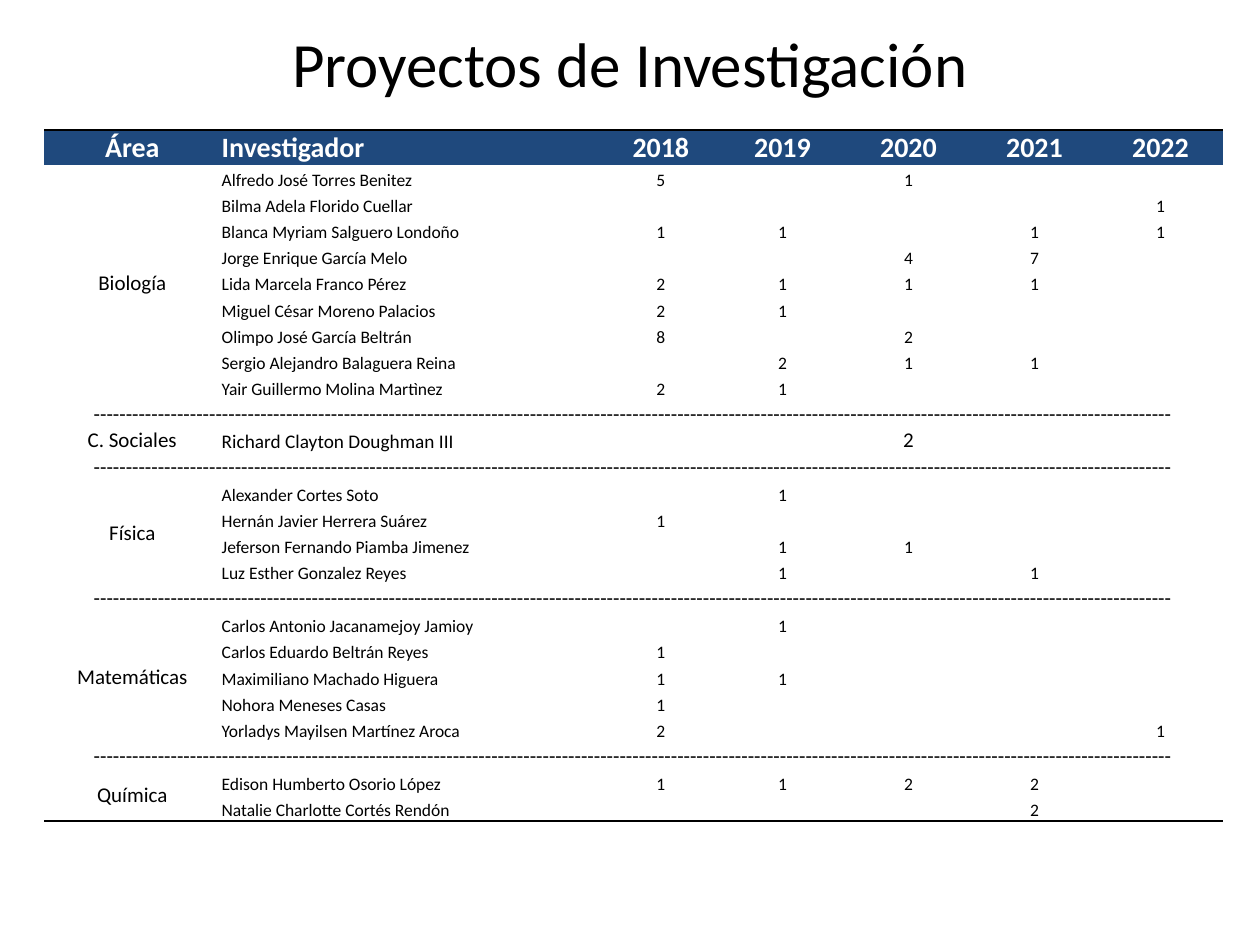
"""Build the slide of research projects by area, researcher and year."""
from dataclasses import dataclass
from typing import Optional

from lxml import etree
from pptx import Presentation
from pptx import util as u
from pptx.dml.color import RGBColor
from pptx.enum import text
from pptx.oxml.ns import qn

COLORS = {"black": "000000", "white": "FFFFFF", "header": "1F497D"}
FONT = "Calibri"
NO_STYLE = "{2D5ABB26-0587-4C30-8999-92F81FD0307C}"
CENTER, LEFT = text.PP_ALIGN.CENTER, text.PP_ALIGN.LEFT
MIDDLE, BOTTOM = text.MSO_ANCHOR.MIDDLE, text.MSO_ANCHOR.BOTTOM
COLUMNS = [1.4, 3.03, 0.93, 1, 1, 1, 1]
HEADINGS = ["Área", "Investigador", *(str(year) for year in range(2018, 2023))]
TABLE_HEIGHT, HEADER_HEIGHT = 5.47, 0.27
SEPARATOR = "-" * 168


@dataclass(frozen=True)
class Style:
    """Look of a piece of text."""
    size: float
    align: text.PP_ALIGN = CENTER
    anchor: text.MSO_ANCHOR = BOTTOM
    color: str = "black"
    bold: bool = False


@dataclass(frozen=True)
class Area:
    """Research area; each researcher has one character per year, dot for none."""
    name: str
    researchers: list[tuple[str, str]]
    anchor: text.MSO_ANCHOR = MIDDLE
    name_size: float = 10
    value_size: float = 10


AREAS = [
    Area("Biología", [
        ("Alfredo José Torres Benitez", "5.1.."),
        ("Bilma Adela Florido Cuellar", "....1"),
        ("Blanca Myriam Salguero Londoño", "11.11"),
        ("Jorge Enrique García Melo", "..47."),
        ("Lida Marcela Franco Pérez", "2111."),
        ("Miguel César Moreno Palacios", "21..."),
        ("Olimpo José García Beltrán", "8.2.."),
        ("Sergio Alejandro Balaguera Reina", ".211."),
        ("Yair Guillermo\u00a0Molina\u00a0Martìnez", "21..."),
    ]),
    Area("C. Sociales", [("Richard Clayton Doughman III", "..2..")], BOTTOM, 11, 12),
    Area("Física", [
        ("Alexander Cortes Soto", ".1..."),
        ("Hernán Javier Herrera Suárez", "1...."),
        ("Jeferson Fernando Piamba Jimenez", ".11.."),
        ("Luz Esther Gonzalez Reyes", ".1.1."),
    ]),
    Area("Matemáticas", [
        ("Carlos Antonio Jacanamejoy Jamioy", ".1..."),
        ("Carlos Eduardo Beltrán Reyes", "1...."),
        ("Maximiliano Machado Higuera", "11..."),
        ("Nohora Meneses Casas", "1...."),
        ("Yorladys Mayilsen\u00a0Martínez\u00a0Aroca", "2...1"),
    ]),
    Area("Química", [
        ("Edison Humberto\u00a0Osorio\u00a0López", "1122."),
        ("Natalie Charlotte Cortés Rendón", "...2."),
    ]),
]


def write(frame, words: str, style: Style) -> None:
    """Add one run of text to the first paragraph of a frame."""
    paragraph = frame.paragraphs[0]
    paragraph.alignment = style.align
    run = paragraph.add_run()
    run.text = words
    run.font.name = FONT
    run.font.size = u.Pt(style.size)
    run.font.bold = style.bold
    run.font.color.rgb = RGBColor.from_string(COLORS[style.color])


def fill_cell(cell, words: str, style: Style) -> None:
    """Write text in a table cell."""
    cell.vertical_anchor = style.anchor
    write(cell.text_frame, words, style)


def prepare_cell(cell) -> None:
    """Clear the fill, tighten the margins and keep empty text small."""
    cell.margin_left = cell.margin_right = cell.margin_top = u.Inches(0.01)
    cell.margin_bottom = 0
    cell.fill.background()
    ending = cell.text_frame.paragraphs[0]._p.get_or_add_endParaRPr()
    ending.set("sz", "1000")


def add_border(cell, side: str) -> None:
    """Draw a one-point black border on one side of a cell."""
    properties = cell._tc.get_or_add_tcPr()
    line = etree.Element(qn(f"a:{side}"), w=str(u.Pt(1)))
    fill = etree.SubElement(line, qn("a:solidFill"))
    etree.SubElement(fill, qn("a:srgbClr"), val=COLORS["black"])
    properties.insert(0, line)


def add_title(slide, width: int, height: int) -> None:
    """Add the centred title."""
    box = slide.shapes.add_textbox(
        int(width * 0.05), u.Inches(0.12), int(width * 0.9), int(height * 0.1))
    frame = box.text_frame
    frame.word_wrap = True
    frame.vertical_anchor = MIDDLE
    write(frame, "Proyectos de Investigación", Style(36))


def fill_area(table, area: Area, top: int) -> int:
    """Fill the rows of an area and return the row after it."""
    bottom = top + len(area.researchers)
    if bottom - top > 1:
        table.cell(top, 0).merge(table.cell(bottom - 1, 0))
    fill_cell(table.cell(top, 0), area.name, Style(12, anchor=area.anchor))
    for row, (name, values) in enumerate(area.researchers, top):
        fill_cell(table.cell(row, 1), name, Style(area.name_size, LEFT))
        for column, value in enumerate(values, 2):
            if value != ".":
                fill_cell(table.cell(row, column), value, Style(area.value_size))
    return bottom


def fill_separator(table, row: int) -> None:
    """Fill a whole row with dashes."""
    table.cell(row, 0).merge(table.cell(row, len(COLUMNS) - 1))
    fill_cell(table.cell(row, 0), SEPARATOR, Style(12))


def create_table(slide, rows: int):
    """Add an unstyled table with its column widths and row heights."""
    frame = slide.shapes.add_table(
        rows, len(COLUMNS), u.Inches(0.35), u.Inches(1.03),
        u.Inches(sum(COLUMNS)), u.Inches(TABLE_HEIGHT))
    table = frame.table
    table.first_row = table.horz_banding = False
    table._tbl.tblPr.find(qn("a:tableStyleId")).text = NO_STYLE
    for column, width in zip(table.columns, COLUMNS):
        column.width = u.Inches(width)
    body_height = (TABLE_HEIGHT - HEADER_HEIGHT) / (rows - 1)
    for index, row in enumerate(table.rows):
        row.height = u.Inches(body_height if index else HEADER_HEIGHT)
    for cell in table.iter_cells():
        prepare_cell(cell)
    return table


def add_projects(slide) -> None:
    """Add the table of projects."""
    rows = len(AREAS) + sum(len(area.researchers) for area in AREAS)
    table = create_table(slide, rows)
    for column, heading in enumerate(HEADINGS):
        cell = table.cell(0, column)
        cell.fill.solid()
        cell.fill.fore_color.rgb = RGBColor.from_string(COLORS["header"])
        align = LEFT if column == 1 else CENTER
        fill_cell(cell, heading, Style(16, align, color="white", bold=True))
        add_border(cell, "lnT")
        add_border(table.cell(rows - 1, column), "lnB")
    row: Optional[int] = None
    for area in AREAS:
        if row is not None:
            fill_separator(table, row)
        start = 1 if row is None else row + 1
        row = fill_area(table, area, start)
    add_border(table.cell(start, 0), "lnB")


def main() -> None:
    """Build and save the presentation."""
    presentation = Presentation()
    presentation.slide_width, presentation.slide_height = u.Inches(10), u.Inches(7.5)
    slide = presentation.slides.add_slide(presentation.slide_layouts[6])
    add_title(slide, presentation.slide_width, presentation.slide_height)
    add_projects(slide)
    presentation.save("out.pptx")


main()
